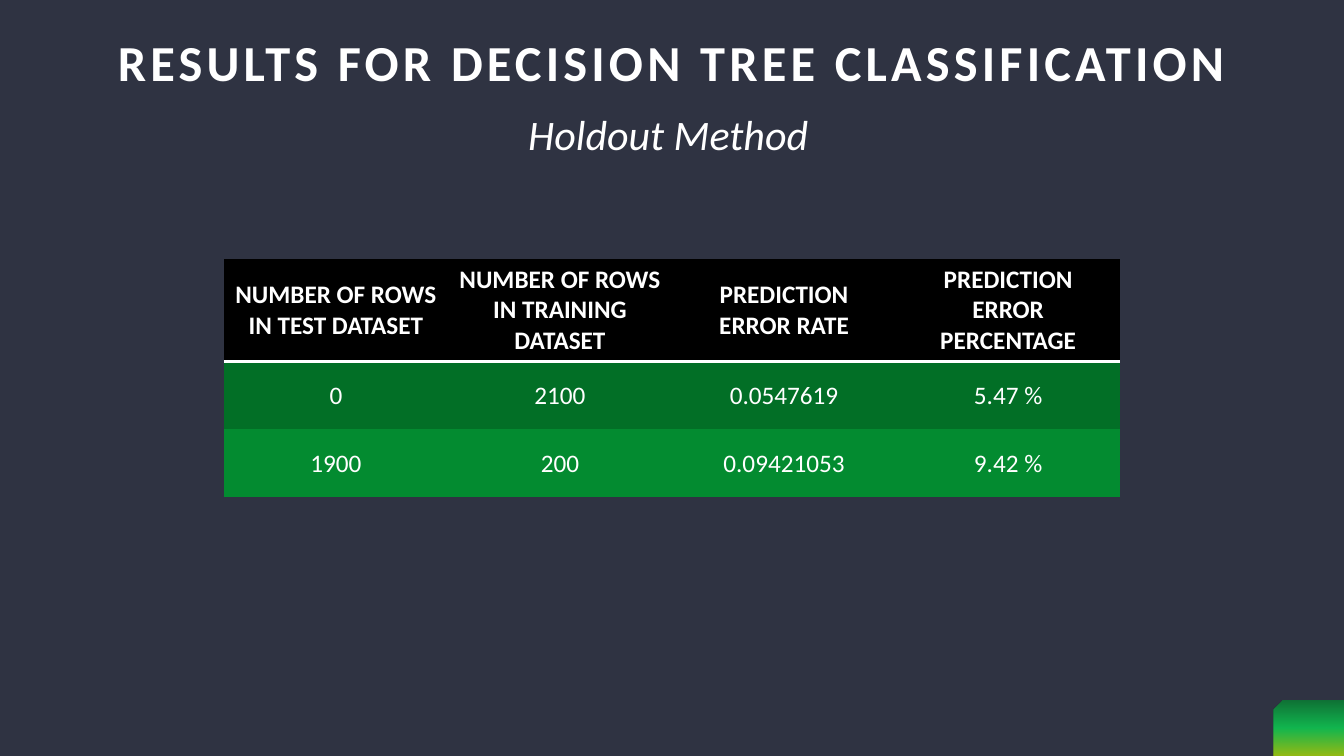
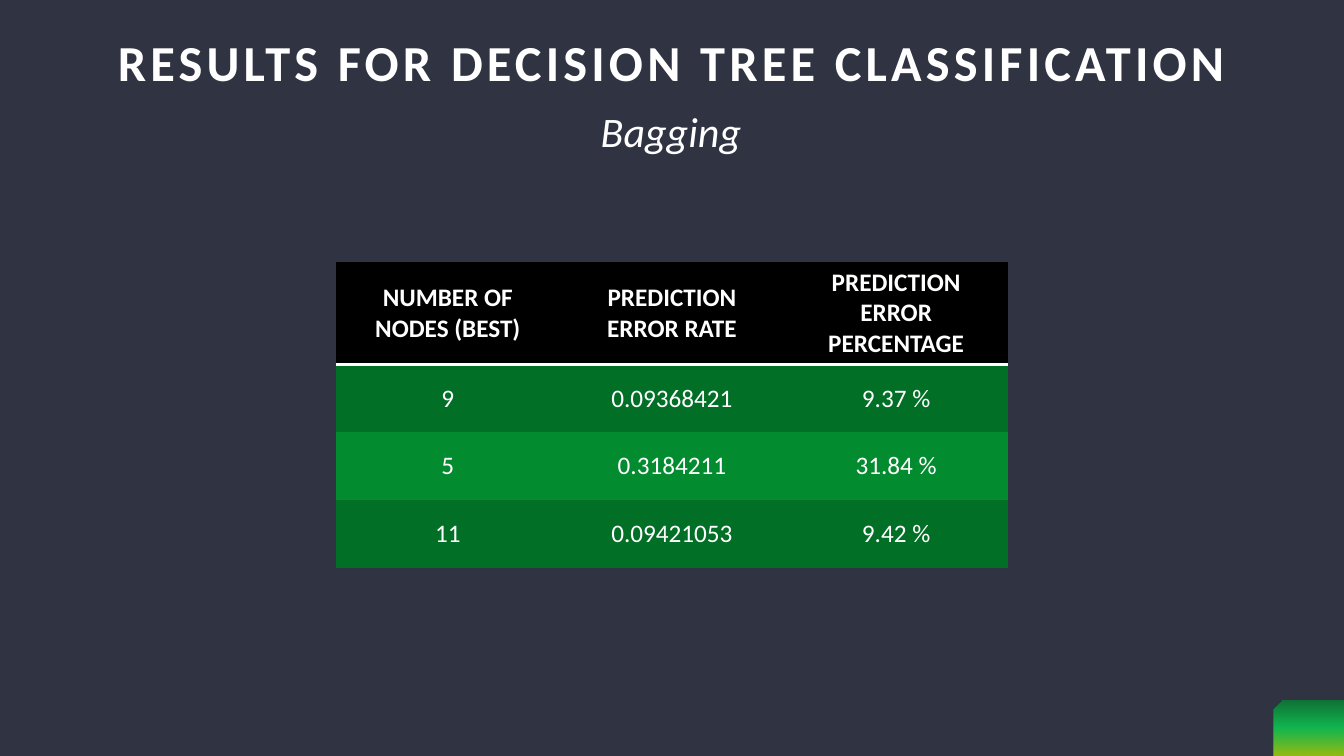
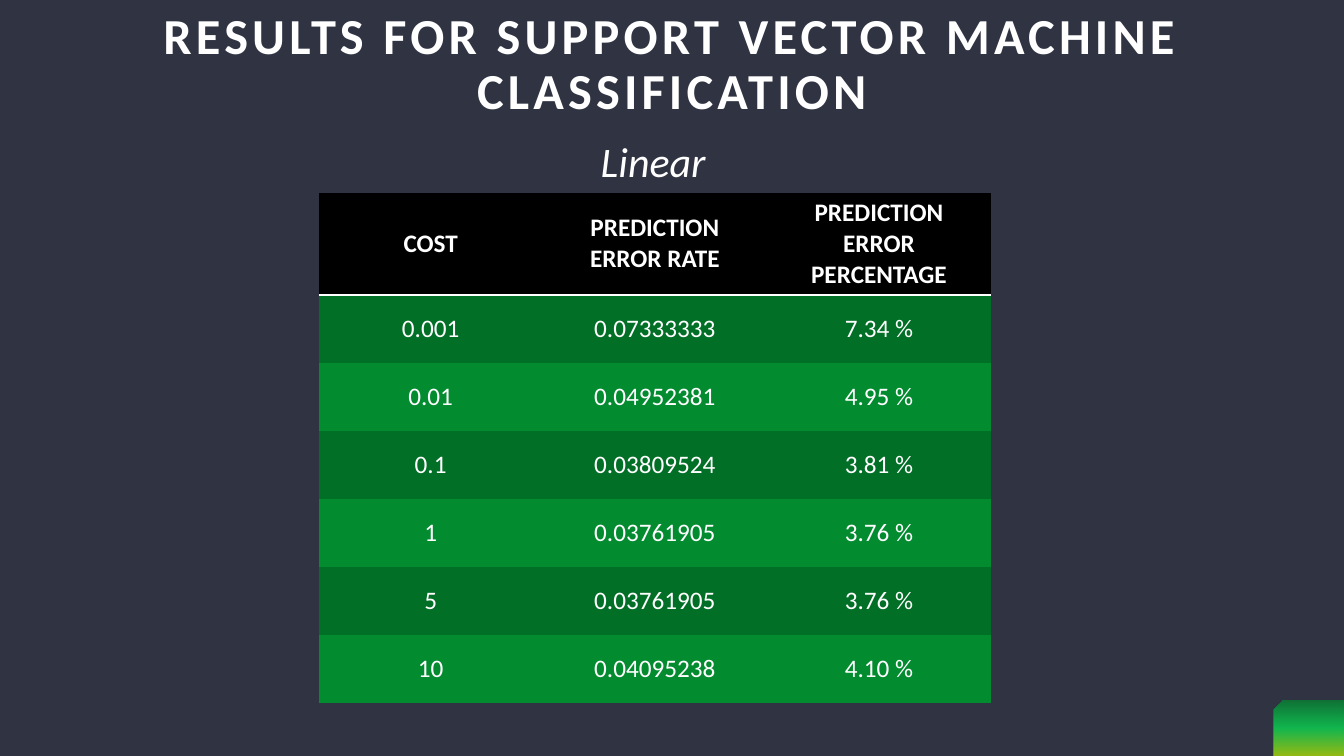
"""Build three slides of classification results, each with a title, a method and a table."""

from dataclasses import dataclass

from pptx import Presentation
from pptx import oxml
from pptx import slide as slides
from pptx import table as tables
from pptx import util as u
from pptx.dml import color
from pptx.enum import shapes, text
from pptx.oxml import ns
from pptx.text import text as texts

NAVY = color.RGBColor(0x2F, 0x33, 0x42)
WHITE = color.RGBColor(0xFF, 0xFF, 0xFF)
BLACK = color.RGBColor(0x00, 0x00, 0x00)
DARK_GREEN = color.RGBColor(0x02, 0x6F, 0x26)
GREEN = color.RGBColor(0x03, 0x8B, 0x30)
BRIGHT_GREEN = color.RGBColor(0x05, 0xEE, 0x55)
LIME = color.RGBColor(0xC0, 0xF4, 0x00)

FONT = "Calibri"
SLIDE_WIDTH, SLIDE_HEIGHT = u.Inches(13.33), u.Inches(7.5)
HEADER_HEIGHT = u.Inches(1.01)
TITLE_ONLY = 5
PLAIN_TABLE_STYLE = "{2D5ABB26-0587-4C30-8999-92F81FD0307C}"


@dataclass(frozen=True)
class Box:
    """A position and size in inches."""

    left: float
    top: float
    width: float
    height: float

    def lengths(self) -> tuple[u.Length, ...]:
        """Return left, top, width and height as lengths."""
        return tuple(u.Inches(n) for n in (self.left, self.top, self.width, self.height))


@dataclass(frozen=True)
class ResultSlide:
    """The content and layout of one result slide."""

    title: str
    title_box: Box
    method: str
    method_box: Box
    table_box: Box
    rows: tuple[tuple[str, ...], ...]


CORNER_BOX = Box(12.63, 6.95, 0.7, 0.55)
TITLE_BOX = Box(0.65, 0, 12.03, 1.3)
WIDE_TITLE_BOX = Box(0, 0, 13.33, 1.3)
TREE_TITLE = "RESULTS FOR DECISION TREE CLASSIFICATION"
VECTOR_TITLE = "RESULTS FOR SUPPORT VECTOR MACHINE CLASSIFICATION"
ERROR_HEADERS = ("PREDICTION ERROR RATE", "PREDICTION ERROR PERCENTAGE")

RESULTS = (
    ResultSlide(
        TREE_TITLE, TITLE_BOX,
        "Holdout Method", Box(5.14, 1.03, 3.05, 0.61),
        Box(2.22, 2.57, 8.89, 2.36),
        (
            ("NUMBER OF ROWS IN TEST DATASET", "NUMBER OF ROWS IN TRAINING DATASET", *ERROR_HEADERS),
            ("0", "2100", "0.0547619", "5.47 %"),
            ("1900", "200", "0.09421053", "9.42 %"),
        ),
    ),
    ResultSlide(
        TREE_TITLE, TITLE_BOX,
        "Bagging", Box(5.86, 1, 1.61, 0.61),
        Box(3.33, 2.6, 6.67, 3.03),
        (
            ("NUMBER OF NODES (BEST)", *ERROR_HEADERS),
            ("9", "0.09368421", "9.37 %"),
            ("5", "0.3184211", "31.84 %"),
            ("11", "0.09421053", "9.42 %"),
        ),
    ),
    ResultSlide(
        VECTOR_TITLE, WIDE_TITLE_BOX,
        "Linear", Box(5.86, 1.3, 1.25, 0.61),
        Box(3.16, 1.91, 6.67, 5.06),
        (
            ("COST", *ERROR_HEADERS),
            ("0.001", "0.07333333", "7.34 %"),
            ("0.01", "0.04952381", "4.95 %"),
            ("0.1", "0.03809524", "3.81 %"),
            ("1", "0.03761905", "3.76 %"),
            ("5", "0.03761905", "3.76 %"),
            ("10", "0.04095238", "4.10 %"),
        ),
    ),
)


def add_run(paragraph: texts._Paragraph, words: str, size: float,
            bold: bool = False, italic: bool = False) -> texts._Run:
    """Add a white run in the shared font."""
    run = paragraph.add_run()
    run.text = words
    run.font.name, run.font.size = FONT, u.Pt(size)
    run.font.bold, run.font.italic = bold, italic
    run.font.color.rgb = WHITE
    return run


def add_corner(slide: slides.Slide) -> None:
    """Draw the gradient corner and move it to the layout that all slides share."""
    corner = slide.shapes.add_shape(shapes.MSO_SHAPE.SNIP_1_RECTANGLE, *CORNER_BOX.lengths())
    corner.shadow.inherit = False
    corner.line.fill.background()
    corner.fill.background()
    properties = corner.element.spPr
    properties.find(ns.qn("a:xfrm")).set("flipH", "1")
    stops = "".join(
        f'<a:gs pos="{position}"><a:srgbClr val="{shade}"><a:alpha val="70000"/></a:srgbClr></a:gs>'
        for position, shade in ((0, GREEN), (50000, BRIGHT_GREEN), (100000, LIME))
    )
    gradient = oxml.parse_xml(
        f'<a:gradFill {ns.nsdecls("a")} rotWithShape="1"><a:gsLst>{stops}</a:gsLst>'
        '<a:lin ang="5400000" scaled="0"/></a:gradFill>'
    )
    properties.replace(properties.find(ns.qn("a:noFill")), gradient)
    slide.slide_layout.shapes.element.append(corner.element)


def set_title(slide: slides.Slide, words: str, box: Box) -> None:
    """Place and format the title placeholder."""
    title = slide.shapes.title
    title.left, title.top, title.width, title.height = box.lengths()
    frame = title.text_frame
    frame.auto_size = text.MSO_AUTO_SIZE.NONE
    frame.vertical_anchor = text.MSO_ANCHOR.MIDDLE
    paragraph = frame.paragraphs[0]
    paragraph.alignment = text.PP_ALIGN.CENTER
    paragraph.line_spacing = 0.9
    run = add_run(paragraph, words, 36, bold=True)
    run._r.get_or_add_rPr().set("spc", "300")


def add_method(slide: slides.Slide, words: str, box: Box) -> None:
    """Write the method name below the title."""
    frame = slide.shapes.add_textbox(*box.lengths()).text_frame
    frame.word_wrap = False
    frame.auto_size = text.MSO_AUTO_SIZE.SHAPE_TO_FIT_TEXT
    add_run(frame.paragraphs[0], words, 30, italic=True)


def fill_cell(cell: tables._Cell, words: str, fill: color.RGBColor, header: bool) -> None:
    """Write one centred cell, with a rule under a header."""
    cell.fill.solid()
    cell.fill.fore_color.rgb = fill
    cell.vertical_anchor = text.MSO_ANCHOR.MIDDLE
    paragraph = cell.text_frame.paragraphs[0]
    paragraph.alignment = text.PP_ALIGN.CENTER
    add_run(paragraph, words, 18, bold=header)
    if header:
        rule = oxml.parse_xml(
            f'<a:lnB {ns.nsdecls("a")} w="{u.Pt(2)}"><a:solidFill>'
            f'<a:srgbClr val="{WHITE}"/></a:solidFill></a:lnB>'
        )
        cell._tc.get_or_add_tcPr().insert(0, rule)


def add_results(slide: slides.Slide, rows: tuple[tuple[str, ...], ...], box: Box) -> None:
    """Add the results table with a black header and green bands."""
    frame = slide.shapes.add_table(len(rows), len(rows[0]), *box.lengths())
    table = frame.table
    table._tbl.tblPr.find(ns.qn("a:tableStyleId")).text = PLAIN_TABLE_STYLE
    body_height = (u.Inches(box.height) - HEADER_HEIGHT) // (len(rows) - 1)
    for index, values in enumerate(rows):
        header = index == 0
        table.rows[index].height = HEADER_HEIGHT if header else body_height
        fill = BLACK if header else (GREEN, DARK_GREEN)[index % 2]
        for column, value in enumerate(values):
            fill_cell(table.cell(index, column), value, fill, header)


def main() -> None:
    """Build and save the presentation."""
    presentation = Presentation()
    presentation.slide_width, presentation.slide_height = SLIDE_WIDTH, SLIDE_HEIGHT
    background = presentation.slide_master.background.fill
    background.solid()
    background.fore_color.rgb = NAVY
    layout = presentation.slide_layouts[TITLE_ONLY]
    for index, result in enumerate(RESULTS):
        slide = presentation.slides.add_slide(layout)
        if index == 0:
            add_corner(slide)
        set_title(slide, result.title, result.title_box)
        add_results(slide, result.rows, result.table_box)
        add_method(slide, result.method, result.method_box)
    presentation.save("out.pptx")


if __name__ == "__main__":
    main()
